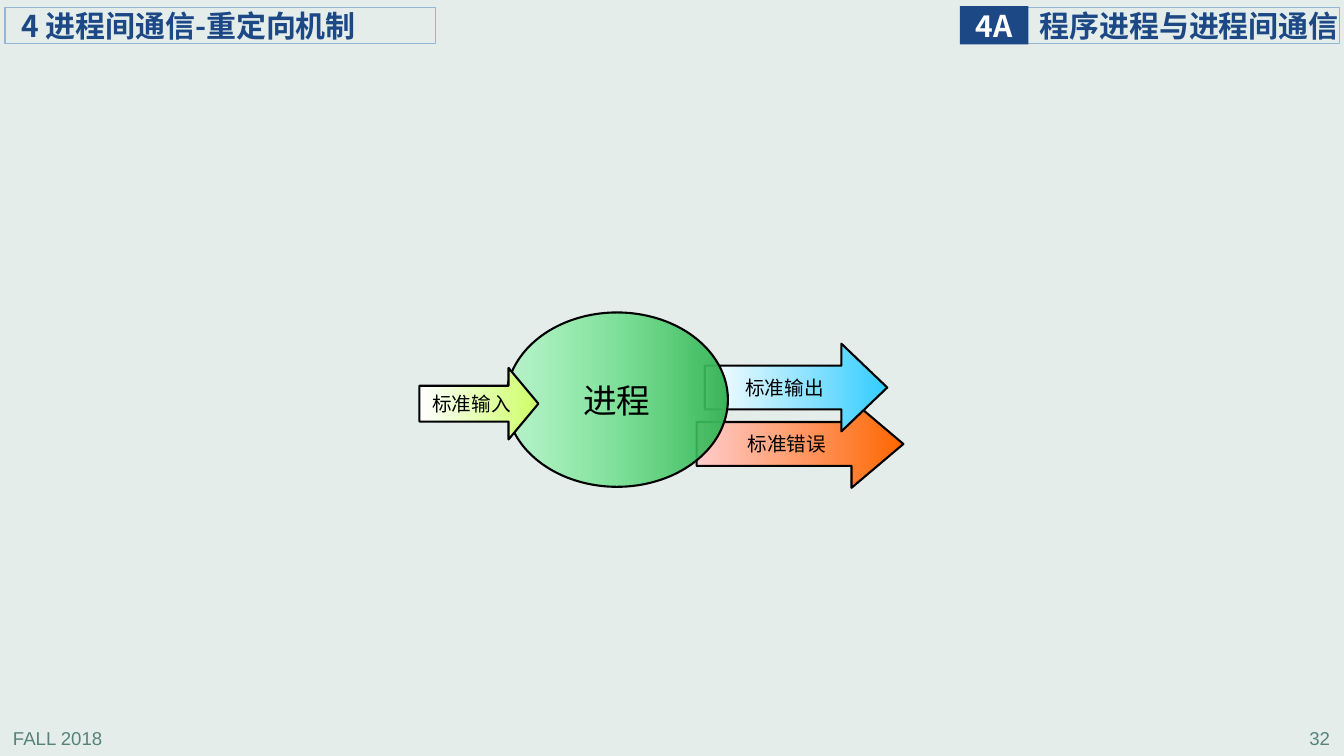
from lxml import etree
from pptx import Presentation
from pptx.dml.color import RGBColor
from pptx.enum.shapes import MSO_SHAPE
from pptx.enum.text import MSO_ANCHOR, PP_ALIGN
from pptx.oxml.ns import qn
from pptx.util import Inches, Pt

RECT, OVAL, ARROW = MSO_SHAPE.RECTANGLE, MSO_SHAPE.OVAL, MSO_SHAPE.RIGHT_ARROW
LEFT, CENTER, RIGHT = PP_ALIGN.LEFT, PP_ALIGN.CENTER, PP_ALIGN.RIGHT
TOP, MIDDLE = MSO_ANCHOR.TOP, MSO_ANCHOR.MIDDLE
NAVY, BORDER, GREEN, BLACK = "1C4885", "94B6D2", "578279", "000000"
HEADING_FONT = "Noto Sans CJK SC"


def rgb(value):
    return RGBColor.from_string(value)


class SlideBuilder:
    def __init__(self, slide):
        self.slide = slide
        bg = slide.background.fill
        bg.solid()
        bg.fore_color.rgb = rgb("E5EDEB")

    def label(self, sp, text, size, font, color, align, bold=False, anchor=MIDDLE, wrap=True):
        tf = sp.text_frame
        tf.text = text
        tf.word_wrap = wrap
        tf.vertical_anchor = anchor
        p = tf.paragraphs[0]
        p.alignment = align
        r = p.runs[0]
        r.font.size = Pt(size)
        r.font.name = font
        r.font.bold = bold
        r.font.color.rgb = rgb(color)
        ea = etree.SubElement(r.font._element, qn("a:ea"))
        ea.set("typeface", HEADING_FONT)

    def shape(self, kind, box, line=None, width=0.75):
        sp = self.slide.shapes.add_shape(kind, *map(Inches, box))
        sp.shadow.inherit = False
        if line:
            sp.line.color.rgb = rgb(line)
            sp.line.width = Pt(width)
        else:
            sp.line.fill.background()
        return sp

    def footer(self, left, text, align):
        sp = self.slide.shapes.add_textbox(Inches(left), Inches(7.16), Inches(2.78), Inches(0.31))
        self.label(sp, text, 13.3, "Arial", GREEN, align, anchor=TOP)

    def heading(self, box, text, inset=0, fill=None, color=NAVY, align=LEFT):
        sp = self.shape(RECT, box, None if fill else BORDER)
        if fill:
            sp.fill.solid()
            sp.fill.fore_color.rgb = rgb(fill)
        else:
            sp.fill.background()
        tf = sp.text_frame
        tf.margin_left = Inches(inset)
        tf.margin_right = tf.margin_top = tf.margin_bottom = 0
        self.label(sp, text, 21.4, HEADING_FONT, color, align, bold=True, wrap=not fill)

    def node(self, kind, box, text, colors, size=14, font="Calibri", head=None, alphas=()):
        sp = self.shape(kind, box, BLACK, 1.5)
        sp.fill.gradient()
        sp.fill.gradient_angle = 0
        for stop, color in zip(sp.fill.gradient_stops, colors):
            stop.color.rgb = rgb(color)
        stops = sp._element.spPr.find(qn("a:gradFill")).iter(qn("a:srgbClr"))
        for clr, alpha in zip(stops, alphas):
            etree.SubElement(clr, qn("a:alpha")).set("val", str(alpha * 1000))
        if head:
            sp.adjustments[1] = head
        self.label(sp, text, size, font, BLACK, CENTER, wrap=False)


def main():
    prs = Presentation()
    prs.slide_width, prs.slide_height = Inches(13.33), Inches(7.5)
    s = SlideBuilder(prs.slides.add_slide(prs.slide_layouts[6]))
    s.footer(0.03, "FALL 2018", LEFT)
    s.footer(10.51, "32", RIGHT)
    s.heading((10.19, 0.07, 3.1, 0.36), "程序进程与进程间通信", inset=0.12)
    s.heading((9.52, 0.06, 0.68, 0.38), "4A", fill=NAVY, color="FFFFFF", align=CENTER)
    s.heading((0.05, 0.07, 4.27, 0.36), "4 进程间通信-重定向机制", inset=0.16)
    s.node(ARROW, (6.91, 3.97, 2.05, 0.87), "标准错误", ("FFCCCC", "FF6600"), head=0.591)
    s.node(ARROW, (6.99, 3.41, 1.81, 0.87), "标准输出", ("FFFFFF", "33CCFF"), head=0.523)
    s.node(OVAL, (5.02, 3.1, 2.2, 1.73), "进程", ("51FD7E", "3AB55A"),
           size=24, font="Arial", alphas=(29, 100))
    s.node(ARROW, (4.16, 3.65, 1.18, 0.71), "标准输入", ("FFFFFF", "CCFF66"), head=0.417)
    prs.save("out.pptx")


if __name__ == "__main__":
    main()
